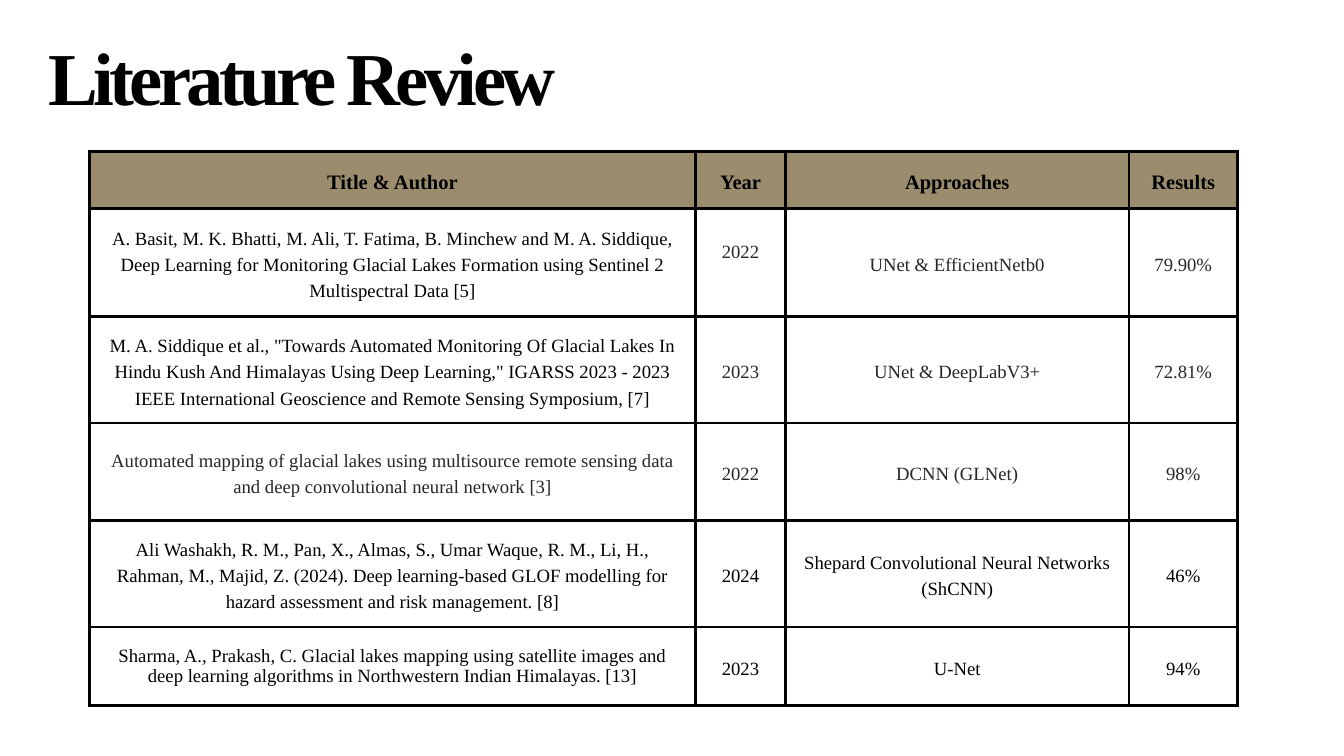
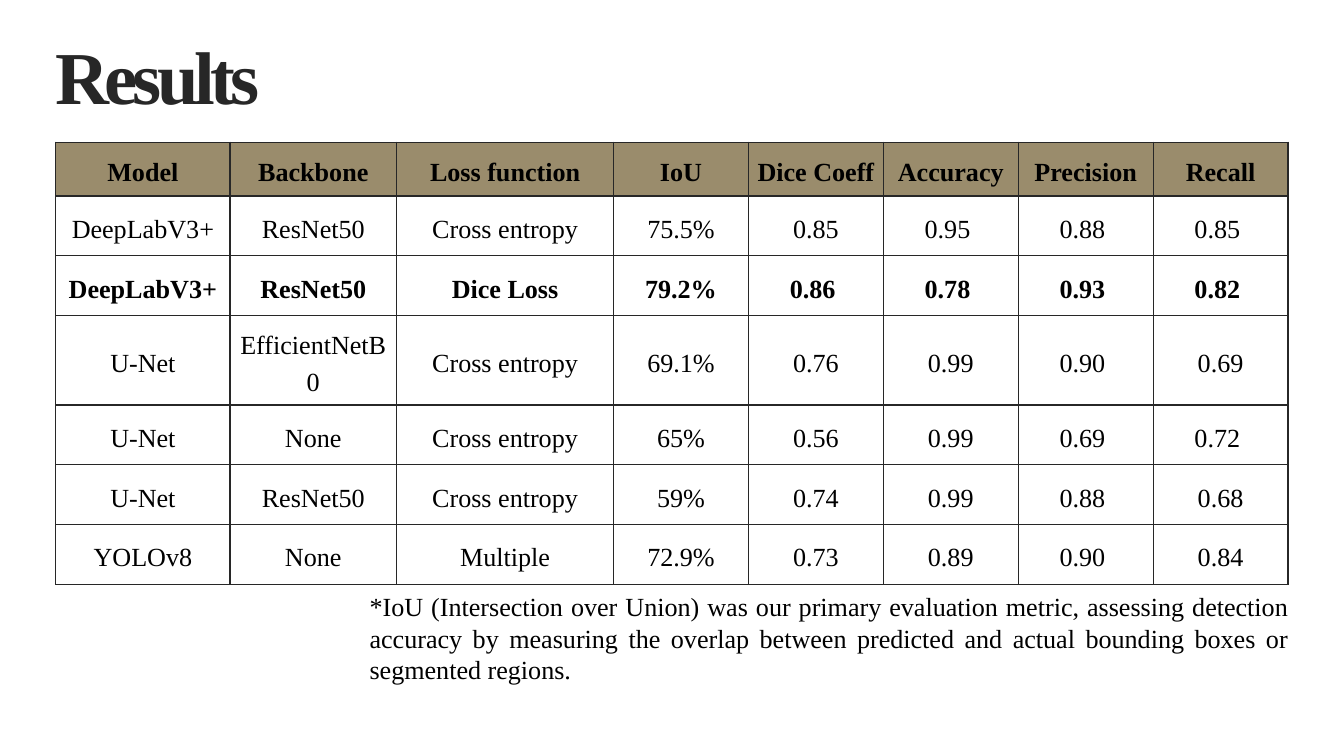
from dataclasses import dataclass

from lxml import etree
from pptx import Presentation
from pptx.dml.color import RGBColor
from pptx.enum.text import MSO_ANCHOR, MSO_AUTO_SIZE, PP_ALIGN
from pptx.oxml.ns import qn
from pptx.util import Cm, Pt

CENTER, JUSTIFY, LEFT = PP_ALIGN.CENTER, PP_ALIGN.JUSTIFY, PP_ALIGN.LEFT
MIDDLE = MSO_ANCHOR.MIDDLE
FIT_SHAPE = MSO_AUTO_SIZE.SHAPE_TO_FIT_TEXT
BLANK_LAYOUT = 6


@dataclass(frozen=True)
class Theme:
    font: str = "Times New Roman"
    black: str = "000000"
    dark: str = "272727"
    header_fill: str = "9A8C6C"
    title_size: int = 80
    title_tracking: int = -5
    text_size: int = 28
    review_header_size: int = 22
    review_size: int = 20
    title_leading: float = 1.2
    table_leading: float = 1.4


THEME = Theme()


@dataclass(frozen=True)
class TableLook:
    """Border and padding of one table, plus its type sizes."""
    line_color: str
    line_width: float
    padding: float
    header_size: int
    body_size: int


REVIEW_LOOK = TableLook(THEME.black, 3, 0.53, THEME.review_header_size, THEME.review_size)
RESULTS_LOOK = TableLook(THEME.dark, 1.5, 0.3, THEME.text_size, THEME.text_size)


class Deck:
    def __init__(self, theme):
        self.theme = theme
        self.prs = Presentation()
        self.prs.slide_width, self.prs.slide_height = Cm(50.8), Cm(28.58)
        self.slide = None

    def add_slide(self):
        self.slide = self.prs.slides.add_slide(self.prs.slide_layouts[BLANK_LAYOUT])

    def paragraph(self, p, text, size, color, bold=False, align=LEFT, leading=None):
        r = p.add_run()
        r.text = text
        p.alignment = align
        if leading:
            p.line_spacing = Pt(round(size * leading, 1))
        p.font.name, p.font.size, p.font.bold = self.theme.font, Pt(size), bold
        p.font.color.rgb = RGBColor.from_string(color)
        return r

    def text(self, text, left, top, width, height, size, color, **style):
        sp = self.slide.shapes.add_textbox(Cm(left), Cm(top), Cm(width), Cm(height))
        tf = sp.text_frame
        tf.word_wrap, tf.auto_size = True, FIT_SHAPE
        tf.margin_left = tf.margin_right = tf.margin_top = tf.margin_bottom = 0
        return self.paragraph(tf.paragraphs[0], text, size, color, **style)

    def title(self, text, left, top, width, color):
        r = self.text(text, left, top, width, 3.43, self.theme.title_size, color,
                      bold=True, leading=self.theme.title_leading)
        r.font._element.set("spc", str(self.theme.title_tracking * 100))

    def table(self, left, top, col_widths, row_heights, look):
        frame = self.slide.shapes.add_table(
            len(row_heights), len(col_widths), Cm(left), Cm(top),
            Cm(sum(col_widths)), Cm(sum(row_heights)))
        table = frame.table
        table.first_row = table.horz_banding = False
        for column, width in zip(table.columns, col_widths):
            column.width = Cm(width)
        for row, height in zip(table.rows, row_heights):
            row.height = Cm(height)
        for cell in table.iter_cells():
            cell.vertical_anchor = MIDDLE
            cell.margin_left = cell.margin_right = Cm(look.padding)
            cell.margin_top = cell.margin_bottom = Cm(look.padding)
            self.borders(cell, look)
        return table

    def borders(self, cell, look):
        tcPr = cell._tc.get_or_add_tcPr()
        for side in ("lnL", "lnR", "lnT", "lnB"):
            ln = etree.SubElement(tcPr, qn(f"a:{side}"), w=str(Pt(look.line_width)))
            fill = etree.SubElement(ln, qn("a:solidFill"))
            etree.SubElement(fill, qn("a:srgbClr"), val=look.line_color)

    def header(self, table, labels, look):
        for cell, label in zip(table.rows[0].cells, labels):
            cell.fill.solid()
            cell.fill.fore_color.rgb = RGBColor.from_string(self.theme.header_fill)
            self.cell(cell, label, look.header_size, self.theme.black, bold=True)

    def body_cell(self, cell, text, look, color, **style):
        cell.fill.background()
        self.cell(cell, text, look.body_size, color, **style)

    def cell(self, cell, text, size, color, bold=False, leading=THEME.table_leading):
        self.paragraph(cell.text_frame.paragraphs[0], text, size, color,
                       bold=bold, align=CENTER, leading=leading)


REVIEW_HEADER = ("Title & Author", "Year", "Approaches", "Results")
# Each paper: colour of its title, colour of its values, the four texts
PAPERS = (
    (THEME.black, THEME.dark, (
        "A. Basit, M. K. Bhatti, M. Ali, T. Fatima, B. Minchew and M. A. Siddique, "
        "Deep Learning for Monitoring Glacial Lakes Formation using Sentinel 2 "
        "Multispectral Data [5]",
        "2022", "UNet & EfficientNetb0", "79.90%")),
    (THEME.black, THEME.dark, (
        'M. A. Siddique et al., "Towards Automated Monitoring Of Glacial Lakes In '
        'Hindu Kush And Himalayas Using Deep Learning," IGARSS 2023 - 2023 IEEE '
        "International Geoscience and Remote Sensing Symposium, [7]",
        "2023", "UNet & DeepLabV3+", "72.81%")),
    (THEME.dark, THEME.dark, (
        "Automated mapping of glacial lakes using multisource remote sensing data "
        "and deep convolutional neural network [3]",
        "2022", "DCNN (GLNet)", "98%")),
    (THEME.black, THEME.black, (
        "Ali Washakh, R. M., Pan, X., Almas, S., Umar Waque, R. M., Li, H., Rahman, "
        "M., Majid, Z. (2024). Deep learning-based GLOF modelling for hazard "
        "assessment and risk management. [8]",
        "2024", "Shepard Convolutional Neural Networks (ShCNN)", "46%")),
    (THEME.black, THEME.black, (
        "Sharma, A., Prakash, C. Glacial lakes mapping using satellite images and "
        "deep learning algorithms in Northwestern Indian Himalayas. [13]",
        "2023", "U-Net", "94%")),
)

RESULTS_HEADER = ("Model", "Backbone", "Loss function", "IoU",
                  "Dice Coeff", "Accuracy", "Precision", "Recall")
RUNS = (
    ("DeepLabV3+", "ResNet50", "Cross entropy", "75.5%", "0.85", "0.95 ", "0.88 ", "0.85 "),
    ("DeepLabV3+", "ResNet50", "Dice Loss", "79.2%", "0.86 ", "0.78 ", "0.93 ", "0.82 "),
    ("U-Net", "EfficientNetB0", "Cross entropy", "69.1%", "0.76", "0.99", "0.90 ", "0.69"),
    ("U-Net", "None", "Cross entropy", "65%", "0.56", "0.99", "0.69 ", "0.72 "),
    ("U-Net", "ResNet50", "Cross entropy", "59%", "0.74", "0.99", "0.88 ", "0.68"),
    ("YOLOv8", "None", "Multiple", "72.9%", "0.73", "0.89", "0.90 ", "0.84"),
)
BEST_RUN = RUNS[1]


def literature_review(deck):
    deck.add_slide()
    deck.title("Literature Review", 1.83, 1.17, 34.37, THEME.black)
    table = deck.table(3.38, 5.72, (22.91, 3.4, 12.98, 4.11),
                       (2.16, 4.09, 4.02, 3.68, 4.02, 2.97), REVIEW_LOOK)
    deck.header(table, REVIEW_HEADER, REVIEW_LOOK)
    for i, (title_color, value_color, texts) in enumerate(PAPERS, 1):
        title, *values = texts
        leading = None if i == len(PAPERS) else THEME.table_leading
        deck.body_cell(table.cell(i, 0), title, REVIEW_LOOK, title_color, leading=leading)
        for j, value in enumerate(values, 1):
            deck.body_cell(table.cell(i, j), value, REVIEW_LOOK, value_color)
    # The first year sits half a line above the middle of its cell
    table.cell(1, 1).margin_bottom = Cm(1.52)


def results(deck):
    deck.add_slide()
    deck.title("Results", 2.08, 1.12, 38.02, THEME.dark)
    heights = [2.03] + [2.26] * len(RUNS)
    heights[3] = 3.38
    table = deck.table(2.11, 5.38, [6.58, 6.3, 8.2] + [5.1] * 5, heights, RESULTS_LOOK)
    deck.header(table, RESULTS_HEADER, RESULTS_LOOK)
    for i, run in enumerate(RUNS, 1):
        for j, value in enumerate(run):
            deck.body_cell(table.cell(i, j), value, RESULTS_LOOK, THEME.black,
                           bold=run is BEST_RUN)
    deck.text("*IoU (Intersection over Union) was our primary evaluation metric, "
              "assessing detection accuracy by measuring the overlap between predicted "
              "and actual bounding boxes or segmented regions.",
              13.97, 22.33, 34.72, 3.58, THEME.text_size, THEME.black, align=JUSTIFY)


def main():
    deck = Deck(THEME)
    literature_review(deck)
    results(deck)
    deck.prs.save("out.pptx")


if __name__ == "__main__":
    main()
